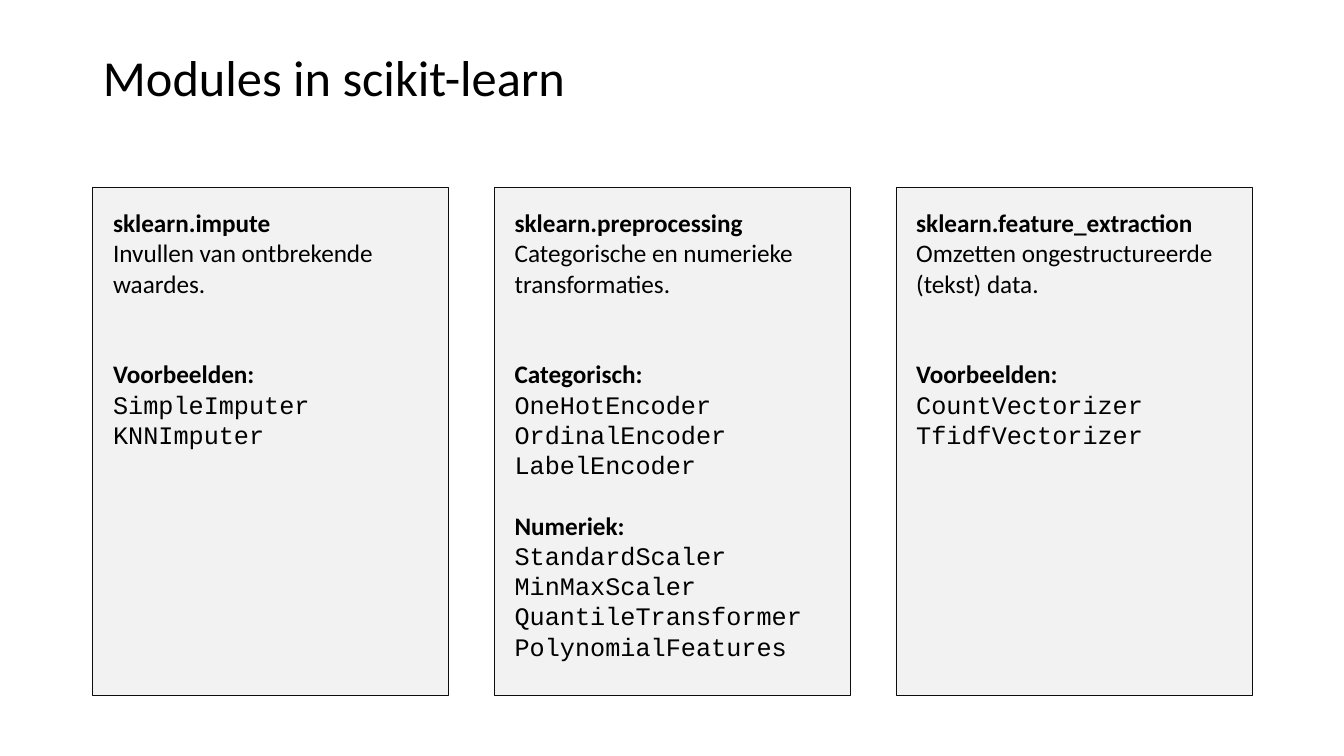
from pptx import Presentation
from pptx.dml.color import RGBColor
from pptx.enum import shapes, text
from pptx.util import Cm, Pt

COLORS = {"text": "000000", "card": "F2F2F2", "border": "0D0D0D"}
BODY, CODE = "Calibri", "Courier New"
LINE = 21.6  # line pitch of the card text, in points

LEFT, TOP = 2.34, 4.72
CARD_W, CARD_H, PITCH = 8.97, 12.8, 10.12

# module, description, then (heading, classes) groups
MODULES = [
    ("sklearn.impute", "Invullen van ontbrekende waardes.",
     [("Voorbeelden:", ["SimpleImputer", "KNNImputer"])]),
    ("sklearn.preprocessing", "Categorische en numerieke transformaties.",
     [("Categorisch:", ["OneHotEncoder", "OrdinalEncoder", "LabelEncoder"]),
      ("Numeriek:", ["StandardScaler", "MinMaxScaler QuantileTransformer",
                     "PolynomialFeatures"])]),
    ("sklearn.feature_extraction", "Omzetten ongestructureerde (tekst) data.",
     [("Voorbeelden:", ["CountVectorizer", "TfidfVectorizer"])]),
]


def rgb(name):
    return RGBColor.from_string(COLORS[name])


def add_text(tf, content, size=18, font=BODY, bold=False, before=0,
             spacing=Pt(LINE)):
    """Fill the empty first paragraph of tf, or append a new one."""
    p = tf.paragraphs[0] if not tf.text else tf.add_paragraph()
    p.alignment = text.PP_ALIGN.LEFT
    p.line_spacing = spacing
    p.space_before = Pt(before)
    r = p.add_run()
    r.text = content
    r.font.name, r.font.size, r.font.bold = font, Pt(size), bold
    r.font.color.rgb = rgb("text")


def add_title(s, content):
    sp = s.shapes.title
    sp.left, sp.top, sp.width, sp.height = Cm(LEFT), Cm(1.02), Cm(29.21), Cm(2)
    tf = sp.text_frame
    tf.auto_size = text.MSO_AUTO_SIZE.NONE
    tf.vertical_anchor = text.MSO_ANCHOR.MIDDLE
    add_text(tf, content, size=36, spacing=0.9)


def add_card(s, left, module, description, groups):
    sp = s.shapes.add_shape(shapes.MSO_SHAPE.RECTANGLE, Cm(left), Cm(TOP),
                            Cm(CARD_W), Cm(CARD_H))
    sp.shadow.inherit = False
    sp.fill.solid()
    sp.fill.fore_color.rgb = rgb("card")
    sp.line.color.rgb = rgb("border")
    sp.line.width = Pt(0.5)
    tf = sp.text_frame
    tf.word_wrap = True
    tf.vertical_anchor = text.MSO_ANCHOR.TOP
    tf.margin_left = tf.margin_right = Cm(0.51)
    tf.margin_top = tf.margin_bottom = Cm(0.51)

    add_text(tf, module, bold=True)
    add_text(tf, description)
    for i, (heading, classes) in enumerate(groups):
        add_text(tf, heading, bold=True, before=LINE if i else 2 * LINE)
        for name in classes:
            add_text(tf, name, font=CODE)


def main():
    prs = Presentation()
    prs.slide_width, prs.slide_height = Cm(33.87), Cm(19.05)
    s = prs.slides.add_slide(prs.slide_layouts.get_by_name("Title Only"))
    add_title(s, "Modules in scikit-learn")
    for i, module in enumerate(MODULES):
        add_card(s, LEFT + i * PITCH, *module)
    prs.save("out.pptx")


if __name__ == "__main__":
    main()
